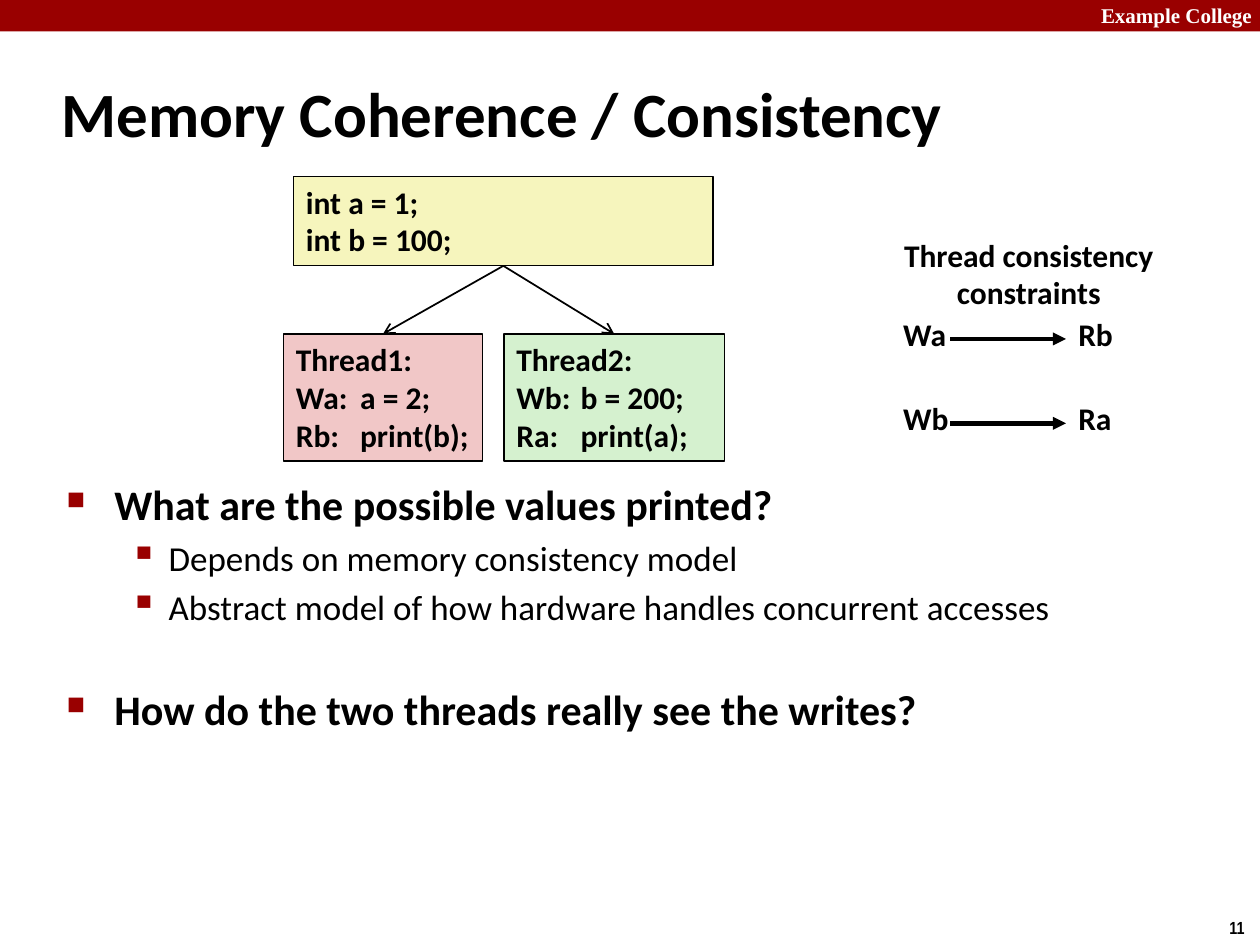
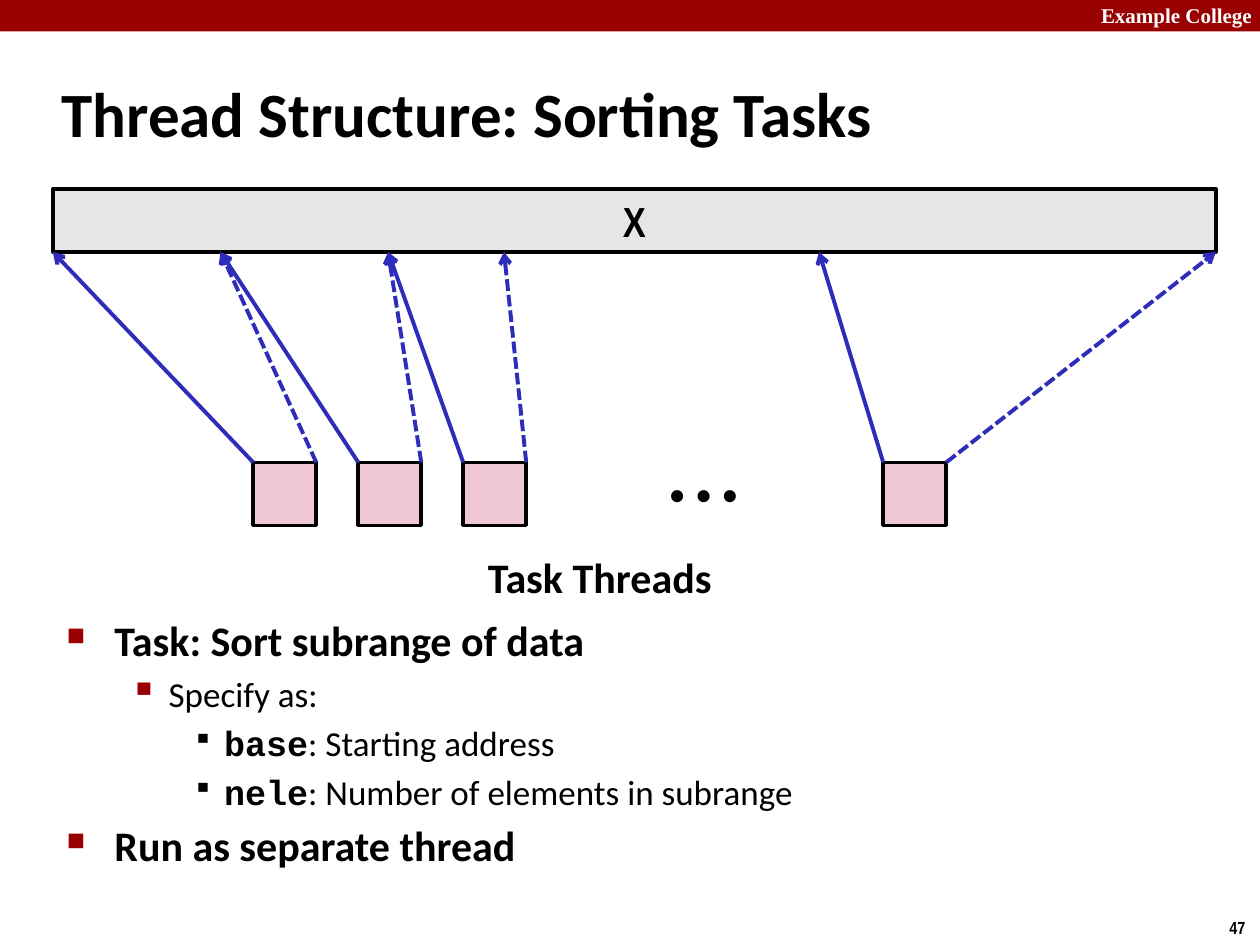
from dataclasses import dataclass

from lxml.etree import SubElement
from pptx import Presentation
from pptx.dml.color import RGBColor
from pptx.enum.dml import MSO_LINE as Dash
from pptx.enum.shapes import MSO_CONNECTOR as Connector, MSO_SHAPE as Shape
from pptx.enum.text import MSO_ANCHOR as Anchor, PP_ALIGN as Align
from pptx.oxml.ns import qn
from pptx.util import Inches, Pt


@dataclass(frozen=True)
class Theme:
    black: str = "000000"
    white: str = "FFFFFF"
    band: str = "990000"
    setup: str = "F6F5BD"
    thread1: str = "F1C7C7"
    thread2: str = "D5F1CF"
    array: str = "E6E6E6"
    task: str = "F0C8D3"
    pointer: str = "2D2DB9"
    body_font: str = "Calibri"
    narrow_font: str = "Arial Narrow"
    symbol_font: str = "Arial"
    code_font: str = "Courier New"
    band_font: str = "Times New Roman"
    title_size: int = 36
    heading_size: int = 24
    detail_size: int = 20
    label_size: int = 18
    band_size: int = 12
    number_size: int = 10


THEME = Theme()
BAND_TEXT = "Example College"

# Per bullet level: indent, hanging width, size, bold, character, colour, percent
LEVELS = [
    (0.38, 0.38, THEME.heading_size, True, "■", THEME.band, 60),
    (0.81, 0.31, THEME.detail_size, False, "▪", THEME.band, 110),
    (1.25, 0.25, THEME.detail_size, False, "▪", THEME.black, 80),
]
BULLET_GAP = 4
SECTION_GAP = 32

# Bullets: level, code word, text, points before
COHERENCE_BULLETS = [
    (0, "", "What are the possible values printed?", BULLET_GAP),
    (1, "", "Depends on memory consistency model", BULLET_GAP),
    (1, "", "Abstract model of how hardware handles concurrent accesses", BULLET_GAP),
    (0, "", "How do the two threads really see the writes?", SECTION_GAP),
]
SORTING_BULLETS = [
    (0, "", "Task: Sort subrange of data", BULLET_GAP),
    (1, "", "Specify as:", BULLET_GAP),
    (2, "base", ": Starting address", BULLET_GAP),
    (2, "nele", ": Number of elements in subrange", BULLET_GAP),
    (0, "", "Run as separate thread", BULLET_GAP),
]

SETUP_BOX = (2.33, 1.4, 3.33, 0.71)
SETUP_CODE = "int a = 1;\nint b = 100;"
THREADS_TOP, THREADS_HEIGHT = 2.65, 1.01
# Threads: left, width, fill, code
THREADS = [
    (2.25, 1.58, THEME.thread1, "Thread1:\nWa:\ta = 2;\nRb:\tprint(b);"),
    (4, 1.75, THEME.thread2, "Thread2:\nWb:\tb = 200;\nRa:\tprint(a);"),
]
CONSTRAINTS = [("Wa", "Rb"), ("Wb", "Ra")]
CONSTRAINT_TOP, CONSTRAINT_PITCH = 2.45, 0.67

ARRAY_BOX = (0.42, 1.5, 9.23, 0.5)
# Tasks: slot in the row, start and end of the subrange
TASKS = [(0, 0.42, 1.75), (1, 1.75, 3.08), (2, 3.08, 4), (6, 6.5, 9.65)]
TASK_LEFT, TASK_TOP, TASK_SIZE, TASK_PITCH = 2.01, 3.67, 0.5, 5 / 6


def rgb(color):
    return RGBColor.from_string(color)


def format_span(span, size, font=THEME.body_font, color=THEME.black, bold=True):
    span.font.size = Pt(size)
    span.font.name = font
    span.font.color.rgb = rgb(color)
    span.font.bold = bold


def write(shape, text, size, font=THEME.body_font, color=THEME.black,
          align=Align.LEFT, anchor=Anchor.TOP, wrap=True):
    frame = shape.text_frame
    frame.text = text
    frame.word_wrap = wrap
    frame.vertical_anchor = anchor
    for para in frame.paragraphs:
        para.alignment = align
        for span in para.runs:
            format_span(span, size, font, color)


def add_text(page, at, text, size, **style):
    box = page.shapes.add_textbox(*map(Inches, at))
    write(box, text, size, **style)


def add_box(page, at, fill, line_width=None):
    box = page.shapes.add_shape(Shape.RECTANGLE, *map(Inches, at))
    box.shadow.inherit = False
    box.fill.solid()
    box.fill.fore_color.rgb = rgb(fill)
    if line_width:
        box.line.color.rgb = rgb(THEME.black)
        box.line.width = Pt(line_width)
    else:
        box.line.fill.background()
    return box


def add_arrow(page, start, end, width, head="arrow", color=THEME.black, dash=None):
    arrow = page.shapes.add_connector(
        Connector.STRAIGHT, *map(Inches, (*start, *end)))
    arrow.line.color.rgb = rgb(color)
    arrow.line.width = Pt(width)
    if dash:
        arrow.line.dash_style = dash
    properties = arrow._element.spPr
    SubElement(properties.find(qn("a:ln")), qn("a:tailEnd"), type=head)
    SubElement(properties, qn("a:effectLst"))


def add_bullets(page, at, bullets):
    box = page.shapes.add_textbox(*map(Inches, at))
    frame = box.text_frame
    frame.word_wrap = True
    for index, (level, code, text, gap) in enumerate(bullets):
        para = frame.add_paragraph() if index else frame.paragraphs[0]
        indent, hanging, size, bold, mark, color, percent = LEVELS[level]
        para.level = level
        para.space_before = Pt(gap)
        if code:
            span = para.add_run()
            span.text = code
            format_span(span, size, THEME.code_font)
        span = para.add_run()
        span.text = text
        format_span(span, size, bold=bold)

        properties = para._p.get_or_add_pPr()
        properties.set("marL", str(Inches(indent)))
        properties.set("indent", str(-Inches(hanging)))
        bullet_color = SubElement(properties, qn("a:buClr"))
        SubElement(bullet_color, qn("a:srgbClr"), val=color)
        SubElement(properties, qn("a:buSzPct"), val=str(percent * 1000))
        SubElement(properties, qn("a:buChar"), char=mark)


def add_tab_stop(box, position):
    for para in box.text_frame.paragraphs:
        stops = SubElement(para._p.get_or_add_pPr(), qn("a:tabLst"))
        SubElement(stops, qn("a:tab"), pos=str(Inches(position)), algn="l")


def add_page(deck, title, number):
    """Add a blank page with the shared band, title and page number."""
    page = deck.slides.add_slide(deck.slide_layouts[6])
    add_box(page, (0, 0, 10, 0.25), THEME.band)
    add_text(page, (8.64, -0.03, 1.43, 0.3), BAND_TEXT, THEME.band_size,
             font=THEME.band_font, color=THEME.white)
    add_text(page, (9.66, 7.23, 0.34, 0.27), str(number), THEME.number_size,
             font=THEME.narrow_font, wrap=False)
    add_text(page, (0.39, 0.48, 8.3, 0.83), title, THEME.title_size,
             anchor=Anchor.MIDDLE)
    return page


def build_coherence(deck):
    page = add_page(deck, "Memory Coherence / Consistency", 11)
    add_bullets(page, (0.43, 3.75, 8.64, 3.18), COHERENCE_BULLETS)

    write(add_box(page, SETUP_BOX, THEME.setup, 0.75), SETUP_CODE, THEME.label_size)
    left, top, width, height = SETUP_BOX
    fork = (left + width / 2, top + height)
    for left, width, fill, code in THREADS:
        box = add_box(page, (left, THREADS_TOP, width, THREADS_HEIGHT), fill, 0.75)
        write(box, code, THEME.label_size)
        add_tab_stop(box, 0.51)
        add_arrow(page, fork, (left + width / 2, THREADS_TOP), 1)

    add_text(page, (7.07, 1.82, 2.19, 0.71), "Thread consistency\nconstraints",
             THEME.label_size, align=Align.CENTER, wrap=False)
    for row, (before, after) in enumerate(CONSTRAINTS):
        top = CONSTRAINT_TOP + row * CONSTRAINT_PITCH
        for left, label in ((7.07, before), (8.46, after)):
            add_text(page, (left, top, 0.57, 0.4), label, THEME.label_size)
        middle = top + 0.24
        add_arrow(page, (7.54, middle), (8.46, middle), 2.5, head="triangle")


def build_sorting(deck):
    page = add_page(deck, "Thread Structure: Sorting Tasks", 47)
    add_bullets(page, (0.43, 4.83, 8.64, 2.1), SORTING_BULLETS)

    centred = dict(align=Align.CENTER, anchor=Anchor.MIDDLE, wrap=False)
    write(add_box(page, ARRAY_BOX, THEME.array, 2), "X", THEME.heading_size,
          font=THEME.narrow_font, **centred)
    array_bottom = ARRAY_BOX[1] + ARRAY_BOX[3]
    for slot, start, end in TASKS:
        left = TASK_LEFT + slot * TASK_PITCH
        add_box(page, (left, TASK_TOP, TASK_SIZE, TASK_SIZE), THEME.task, 2)
        for corner, target, dash in ((left, start, None),
                                     (left + TASK_SIZE, end, Dash.SQUARE_DOT)):
            add_arrow(page, (corner, TASK_TOP), (target, array_bottom), 2.25,
                      color=THEME.pointer, dash=dash)
    add_text(page, (4.17, TASK_TOP, 2.83, TASK_SIZE), "• • •", THEME.heading_size,
             font=THEME.symbol_font, **centred)
    add_text(page, (2.02, 4.33, 5.48, 0.5), "Task Threads", THEME.heading_size,
             **centred)


def main():
    deck = Presentation()
    deck.slide_width, deck.slide_height = Inches(10), Inches(7.5)
    build_coherence(deck)
    build_sorting(deck)
    deck.save("out.pptx")


if __name__ == "__main__":
    main()
